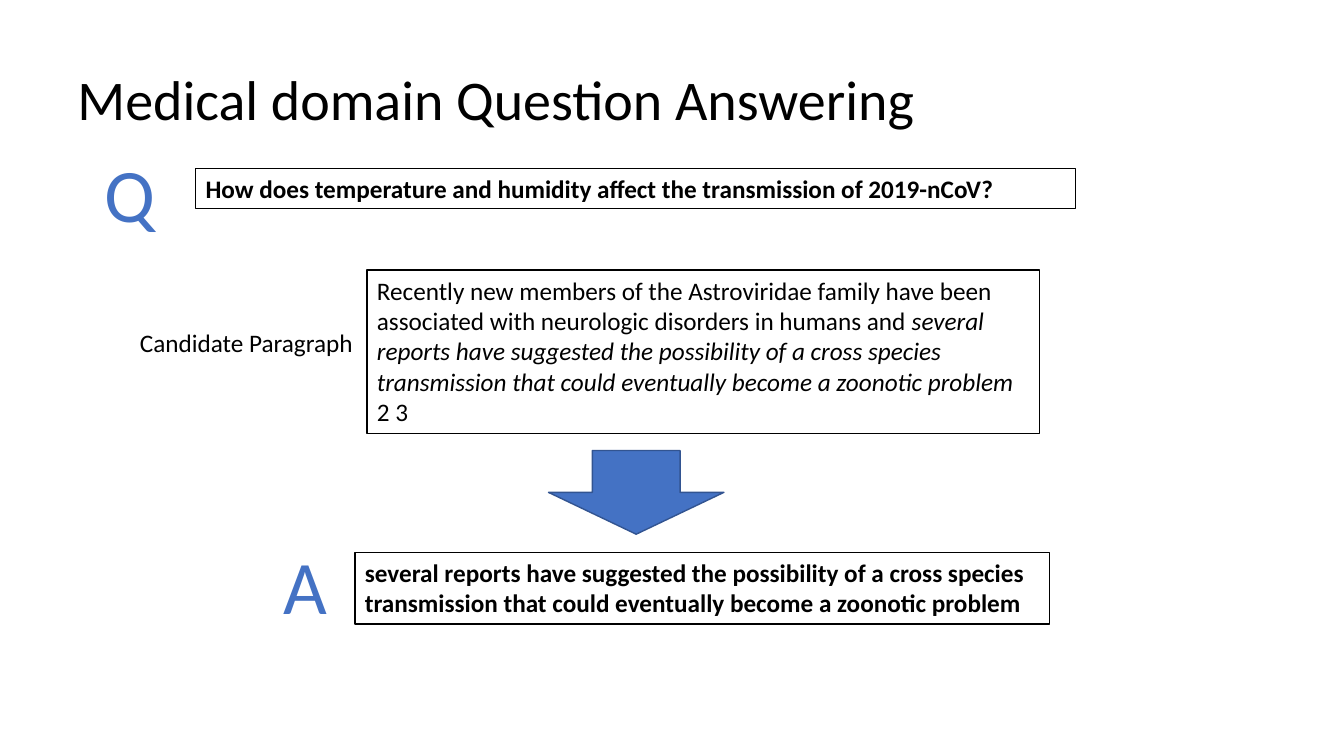
from dataclasses import dataclass

from pptx import Presentation
from pptx.dml.color import RGBColor
from pptx.enum.shapes import MSO_SHAPE
from pptx.enum.text import MSO_ANCHOR, MSO_AUTO_SIZE, PP_ALIGN
from pptx.shapes.autoshape import Shape
from pptx.slide import Slide
from pptx.util import Inches, Pt

COLORS = {"black": "000000", "white": "FFFFFF", "blue": "4472C4", "navy": "325491"}


@dataclass(frozen=True)
class Box:
    left: float
    top: float
    width: float
    height: float


@dataclass(frozen=True)
class Label:
    box: Box
    text: str
    size: int = 18
    color: str = "black"
    align: PP_ALIGN = PP_ALIGN.LEFT


@dataclass(frozen=True)
class Run:
    text: str
    italic: bool = False


@dataclass(frozen=True)
class Passage:
    box: Box
    runs: tuple[Run, ...]
    bold: bool = False


ANSWER = ("several reports have suggested the possibility of a cross species "
          "transmission that could eventually become a zoonotic problem")

LABELS = (
    Label(Box(0.67, 0.59, 8.73, 0.77), "Medical domain Question Answering", 40),
    Label(Box(0.93, 1.41, 0.71, 1.01), "Q", 54, "blue", PP_ALIGN.CENTER),
    Label(Box(1.29, 3.2, 2.34, 0.4), "Candidate Paragraph"),
    Label(Box(2.71, 5.3, 0.64, 1.01), "A", 54, "blue", PP_ALIGN.CENTER),
)

PASSAGES = (
    Passage(
        Box(1.94, 1.67, 8.73, 0.4),
        (Run("How does temperature and humidity affect the transmission of 2019-nCoV?"),),
        bold=True,
    ),
    Passage(
        Box(3.64, 2.68, 6.67, 1.62),
        (
            Run("Recently new members of the Astroviridae family have been "
                "associated with neurologic disorders in humans and "),
            Run(ANSWER + " ", italic=True),
            Run("2 3"),
        ),
    ),
    Passage(Box(3.52, 5.48, 6.89, 0.71), (Run(ANSWER),), bold=True),
)

ARROW = Box(5.44, 4.47, 1.74, 0.83)


def rgb(name: str) -> RGBColor:
    return RGBColor.from_string(COLORS[name])


def place(box: Box) -> tuple[Inches, ...]:
    return tuple(Inches(v) for v in (box.left, box.top, box.width, box.height))


def write(sp: Shape, runs: tuple[Run, ...], size: int, color: str,
          align: PP_ALIGN, bold: bool, wrap: bool) -> None:
    tf = sp.text_frame
    tf.word_wrap = wrap
    tf.auto_size = MSO_AUTO_SIZE.SHAPE_TO_FIT_TEXT
    tf.vertical_anchor = MSO_ANCHOR.TOP
    p = tf.paragraphs[0]
    p.alignment = align
    p.font.name = "Calibri"
    p.font.size = Pt(size)
    p.font.bold = bold
    p.font.color.rgb = rgb(color)
    for run in runs:
        r = p.add_run()
        r.text = run.text
        if run.italic:
            r.font.italic = True


def add_shape(s: Slide, kind: MSO_SHAPE, box: Box, fill: str, line: str) -> Shape:
    sp = s.shapes.add_shape(kind, *place(box))
    sp.shadow.inherit = False
    sp.fill.solid()
    sp.fill.fore_color.rgb = rgb(fill)
    sp.line.color.rgb = rgb(line)
    sp.line.width = Pt(1)
    return sp


def add_passage(s: Slide, passage: Passage) -> None:
    sp = add_shape(s, MSO_SHAPE.RECTANGLE, passage.box, "white", "black")
    write(sp, passage.runs, 18, "black", PP_ALIGN.LEFT, passage.bold, wrap=True)


def add_label(s: Slide, label: Label) -> None:
    sp = s.shapes.add_textbox(*place(label.box))
    write(sp, (Run(label.text),), label.size, label.color, label.align,
          bold=False, wrap=False)


def main() -> None:
    prs = Presentation()
    prs.slide_width, prs.slide_height = Inches(13.33), Inches(7.5)
    s = prs.slides.add_slide(prs.slide_layouts[6])
    for passage in PASSAGES:
        add_passage(s, passage)
    add_shape(s, MSO_SHAPE.DOWN_ARROW, ARROW, "blue", "navy")
    for label in LABELS:
        add_label(s, label)
    prs.save("out.pptx")


if __name__ == "__main__":
    main()
